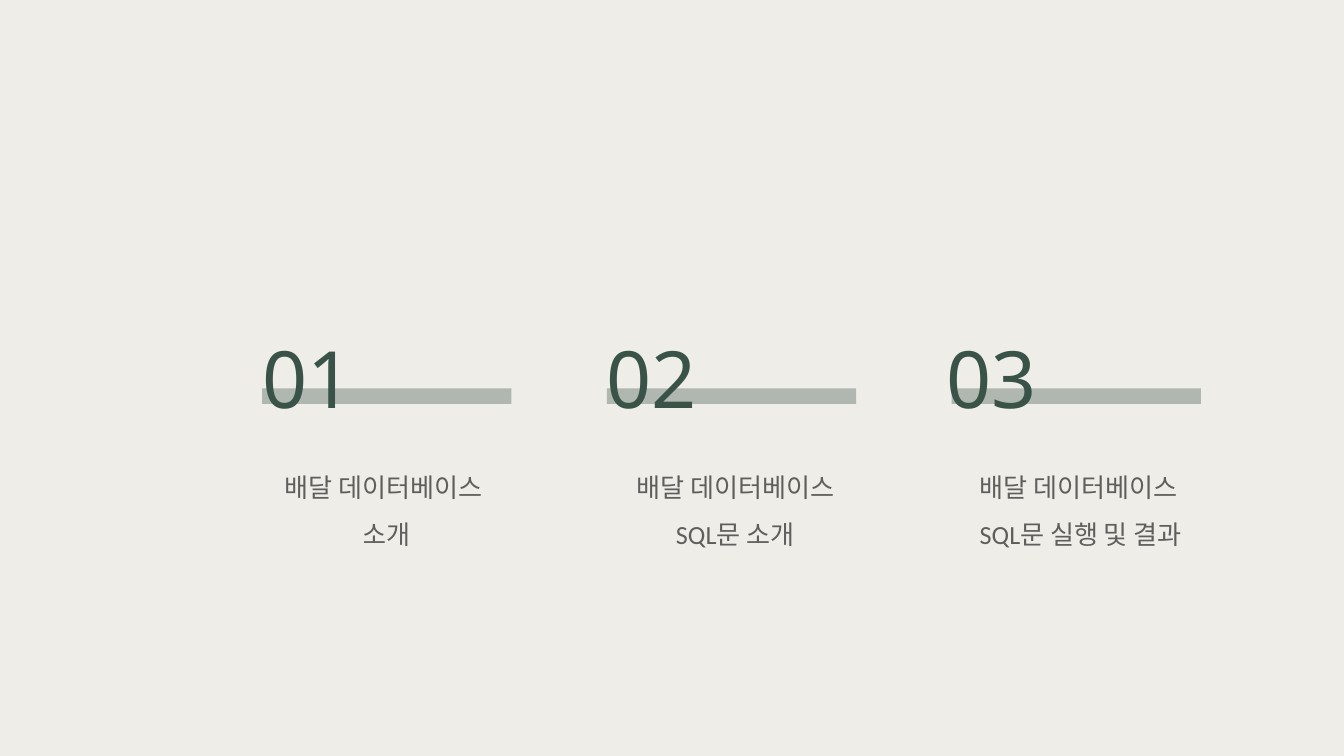
from dataclasses import dataclass

from lxml.etree import SubElement
from pptx import Presentation
from pptx.dml.color import RGBColor
from pptx.dml.fill import FillFormat
from pptx.enum.shapes import MSO_SHAPE
from pptx.enum.text import PP_ALIGN
from pptx.oxml.ns import qn
from pptx.slide import Slide
from pptx.util import Inches, Pt

GREEN, INK, PAPER = "3A5348", "000000", "EEEDE8"
FIRST_COLUMN, COLUMN_PITCH = 3.9, 5.13
NUMBER_TOP, BAR_TOP, CAPTION_TOP = 4.67, 5.78, 6.77
BAR_WIDTH, BAR_HEIGHT = 3.71, 0.23


@dataclass
class TextStyle:
    font: str
    size: float
    line_pitch: float
    color: str
    opacity: int = 100


@dataclass
class Chapter:
    number: str
    caption: list[str]
    caption_width: float
    caption_shift: float = 0
    number_shift: float = 0
    align: PP_ALIGN = PP_ALIGN.CENTER


NUMBER_STYLE = TextStyle("Noto Sans", 84.6, 118.5, GREEN)
CAPTION_STYLE = TextStyle("Calibri", 28, 50.7, INK, 60)

CHAPTERS = [
    Chapter("01", ["배달 데이터베이스 ", "소개"], 4.43, caption_shift=-0.36),
    Chapter("02", ["배달 데이터베이스", "SQL문 소개"], 3.82),
    Chapter("03", ["배달 데이터베이스", "SQL문 실행 및 결과"], 5.13,
            caption_shift=0.42, number_shift=-0.08, align=PP_ALIGN.LEFT),
]


def paint(fill: FillFormat, color: str, opacity: int = 100) -> None:
    fill.solid()
    fill.fore_color.rgb = RGBColor.from_string(color)
    if opacity < 100:
        tone = fill._xPr.find(".//" + qn("a:srgbClr"))
        SubElement(tone, qn("a:alpha")).set("val", str(opacity * 1000))


def add_text(slide: Slide, lines: list[str], left: float, top: float,
             width: float, height: float, style: TextStyle,
             align: PP_ALIGN = PP_ALIGN.LEFT) -> None:
    frame = slide.shapes.add_textbox(
        Inches(left), Inches(top), Inches(width), Inches(height)).text_frame
    frame.word_wrap = True
    frame.margin_left = frame.margin_right = 0
    frame.margin_top = frame.margin_bottom = 0
    frame.text = "\n".join(lines)
    for paragraph in frame.paragraphs:
        paragraph.alignment = align
        paragraph.line_spacing = Pt(style.line_pitch)
        paragraph.font.name = style.font
        paragraph.font.size = Pt(style.size)
        paint(paragraph.font.fill, style.color, style.opacity)


def add_bar(slide: Slide, left: float) -> None:
    bar = slide.shapes.add_shape(
        MSO_SHAPE.RECTANGLE, Inches(left), Inches(BAR_TOP),
        Inches(BAR_WIDTH), Inches(BAR_HEIGHT))
    bar.shadow.inherit = False
    bar.line.fill.background()
    paint(bar.fill, GREEN, 35)


def add_chapter(slide: Slide, chapter: Chapter, column: int) -> None:
    left = FIRST_COLUMN + column * COLUMN_PITCH
    add_bar(slide, left)
    add_text(slide, [chapter.number], left + chapter.number_shift, NUMBER_TOP,
             1.9, 1.58, NUMBER_STYLE)
    add_text(slide, chapter.caption, left + chapter.caption_shift, CAPTION_TOP,
             chapter.caption_width, 1.36, CAPTION_STYLE, chapter.align)


def main() -> None:
    deck = Presentation()
    deck.slide_width, deck.slide_height = Inches(20), Inches(11.25)
    slide = deck.slides.add_slide(deck.slide_layouts[6])
    paint(slide.background.fill, PAPER)
    for column, chapter in enumerate(CHAPTERS):
        add_chapter(slide, chapter, column)
    deck.save("out.pptx")


if __name__ == "__main__":
    main()
